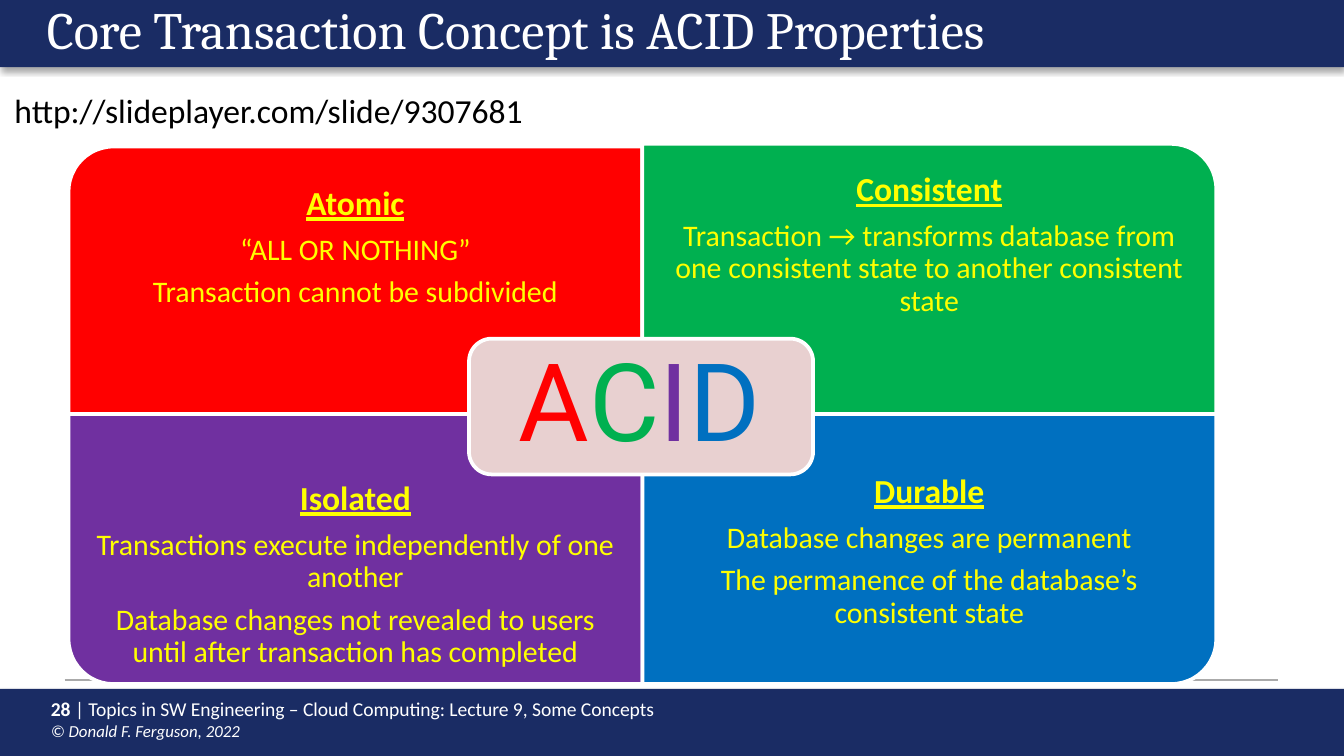
from dataclasses import dataclass

import pptx
import pptx.dml.color
import pptx.enum.shapes
import pptx.enum.text
import pptx.oxml
import pptx.oxml.ns
import pptx.util

Inches = pptx.util.Inches
Pt = pptx.util.Pt
Color = pptx.dml.color.RGBColor
Kind = pptx.enum.shapes.MSO_SHAPE
Anchor = pptx.enum.text.MSO_ANCHOR
Align = pptx.enum.text.PP_ALIGN


@dataclass(frozen=True)
class Theme:
    navy: str = "1A2C64"
    white: str = "FFFFFF"
    black: str = "000000"
    rule: str = "AAAAAA"
    yellow: str = "FFFF00"
    badge: str = "E8D0D0"
    red: str = "FF0000"
    green: str = "00B050"
    purple: str = "7030A0"
    blue: str = "0070C0"
    body_font: str = "Calibri"
    title_font: str = "Cambria"
    badge_font: str = "Roboto"
    title: float = 28
    heading: float = 18
    body: float = 16
    badge_size: float = 58
    footer: float = 10.5
    credit: float = 9


@dataclass(frozen=True)
class Frame:
    left: float
    top: float
    width: float
    height: float

    def lengths(self) -> list:
        return [Inches(value) for value in (self.left, self.top, self.width, self.height)]

    def turned(self) -> "Frame":
        shift = (self.width - self.height) / 2
        return Frame(self.left + shift, self.top - shift, self.height, self.width)


@dataclass(frozen=True)
class Span:
    text: str
    size: float
    color: str
    font: str = Theme.body_font
    bold: bool = False
    italic: bool = False
    underline: bool = False


@dataclass(frozen=True)
class Quadrant:
    column: int
    row: int
    rotation: int
    color: str
    heading: str
    lines: tuple
    anchor: Anchor = Anchor.MIDDLE
    nudge: float = 0
    bottom: float = 0.14


THEME = Theme()
PAGE_WIDTH = 10
PAGE_HEIGHT = PAGE_WIDTH * 9 / 16
BAR_HEIGHT = 0.5
GRID = Frame(0.51, 1.07, 4.27, 2.01)
LABEL_HEIGHT = GRID.height * 0.75

QUADRANTS = (
    Quadrant(0, 0, 270, THEME.red, "Atomic",
             ("“ALL OR NOTHING”", "Transaction cannot be subdivided"), nudge=0.02),
    Quadrant(1, 0, 0, THEME.green, "Consistent",
             ("Transaction → transforms database from one consistent state "
              "to another consistent state",)),
    Quadrant(0, 1, 180, THEME.purple, "Isolated",
             ("Transactions execute independently of one another",
              "Database changes not revealed to users until after transaction has completed"),
             anchor=Anchor.TOP),
    Quadrant(1, 1, 90, THEME.blue, "Durable",
             ("Database changes are permanent",
              "The permanence of the database’s consistent state"), bottom=0.46),
)


def apply(target, values: dict) -> None:
    for name, value in values.items():
        setattr(target, name, value)


def add_span(para, span: Span) -> None:
    run = para.add_run()
    run.text = span.text
    apply(run.font, {"size": Pt(span.size), "name": span.font, "bold": span.bold,
                     "italic": span.italic, "underline": span.underline})
    run.font.color.rgb = Color.from_string(span.color)


def add_text(page, frame: Frame, paragraphs: list, margins: tuple = (0.1, 0.05, 0.1, 0.05),
             anchor: Anchor = Anchor.TOP, wrap: bool = True, gap: float = 0, **para_format):
    box = page.shapes.add_textbox(*frame.lengths()).text_frame
    left, top, right, bottom = (Inches(margin) for margin in margins)
    apply(box, {"word_wrap": wrap, "vertical_anchor": anchor, "margin_left": left,
                "margin_top": top, "margin_right": right, "margin_bottom": bottom})
    for index, spans in enumerate(paragraphs):
        para = box.add_paragraph() if index else box.paragraphs[0]
        apply(para, {"space_after": Pt(gap * spans[0].size), **para_format})
        for span in spans:
            add_span(para, span)
    return box


def add_block(page, kind: Kind, frame: Frame, fill: str, outline: bool = True):
    block = page.shapes.add_shape(kind, *frame.lengths())
    block.shadow.inherit = False
    block.fill.solid()
    block.fill.fore_color.rgb = Color.from_string(fill)
    if outline:
        block.line.color.rgb = Color.from_string(THEME.white)
        block.line.width = Pt(2)
    else:
        block.line.fill.background()
    return block


def add_bar(page, top: float) -> None:
    bar = add_block(page, Kind.RECTANGLE, Frame(0, top, PAGE_WIDTH, BAR_HEIGHT),
                    THEME.navy, outline=False)
    effects = bar.element.spPr.find(pptx.oxml.ns.qn("a:effectLst"))
    effects.append(pptx.oxml.parse_xml(
        f'<a:outerShdw {pptx.oxml.ns.nsdecls("a")} blurRad="{Pt(3.1)}" dist="{Pt(1.8)}" '
        f'dir="5400000" rotWithShape="0"><a:srgbClr val="{THEME.black}">'
        '<a:alpha val="35000"/></a:srgbClr></a:outerShdw>'))


def add_rule(page, left: float, right: float, height: float) -> None:
    rule = page.shapes.add_connector(pptx.enum.shapes.MSO_CONNECTOR.STRAIGHT,
                                     Inches(left), Inches(height), Inches(right), Inches(height))
    rule.line.color.rgb = Color.from_string(THEME.rule)
    rule.line.width = Pt(0.75)
    rule.element.spPr.append(pptx.oxml.parse_xml(
        f'<a:effectLst {pptx.oxml.ns.nsdecls("a")}/>'))


def add_quadrant(page, quadrant: Quadrant) -> None:
    frame = Frame(GRID.left + quadrant.column * GRID.width,
                  GRID.top + quadrant.row * GRID.height + quadrant.nudge,
                  GRID.width, GRID.height)
    sideways = quadrant.rotation % 180 == 90
    block = add_block(page, Kind.ROUND_1_RECTANGLE, frame.turned() if sideways else frame,
                      quadrant.color)
    block.rotation = quadrant.rotation
    label_top = frame.top + quadrant.row * (GRID.height - LABEL_HEIGHT)
    heading = Span(quadrant.heading, THEME.heading, THEME.yellow, bold=True, underline=True)
    lines = [[Span(line, THEME.body, THEME.yellow)] for line in quadrant.lines]
    add_text(page, Frame(frame.left, label_top, GRID.width, LABEL_HEIGHT), [[heading], *lines],
             margins=(0.14, 0 if quadrant.row else 0.14, 0.14, quadrant.bottom),
             anchor=quadrant.anchor, gap=0.35, alignment=Align.CENTER, line_spacing=0.9)


def add_badge(page) -> None:
    add_block(page, Kind.ROUNDED_RECTANGLE, Frame(3.49, 2.52, 2.56, 1.01), THEME.badge)
    letters = [Span(quadrant.heading[0], THEME.badge_size, quadrant.color, THEME.badge_font)
               for quadrant in QUADRANTS]
    add_text(page, Frame(3.53, 2.57, 2.46, 0.91), [letters], margins=(0.24,) * 4,
             anchor=Anchor.MIDDLE, alignment=Align.CENTER, line_spacing=0.9)


def add_footer(page) -> None:
    box = add_text(page, Frame(0.28, 5.14, 7.42, 0.43), [[
        Span("28 ", THEME.footer, THEME.white, bold=True),
        Span("| Topics in SW Engineering – Cloud Computing: Lecture 9, Some Concepts",
             THEME.footer, THEME.white)]])
    para = box.paragraphs[0]
    para.add_line_break()
    add_span(para, Span("© Donald F. Ferguson, 2022", THEME.credit, THEME.white, italic=True))


def main() -> None:
    deck = pptx.Presentation()
    apply(deck, {"slide_width": Inches(PAGE_WIDTH), "slide_height": Inches(PAGE_HEIGHT)})
    page = deck.slides.add_slide(deck.slide_layouts[6])
    for top in (PAGE_HEIGHT - BAR_HEIGHT, 0):
        add_bar(page, top)
    add_footer(page)
    add_rule(page, 0.48, 9.51, 5.06)
    add_text(page, Frame(0.25, -0.02, 9.06, 0.42),
             [[Span("Core Transaction Concept is ACID Properties", THEME.title, THEME.white,
                    THEME.title_font)]], line_spacing=0.9)
    for quadrant in QUADRANTS:
        add_quadrant(page, quadrant)
    add_badge(page)
    add_text(page, Frame(0.01, 0.62, 4.03, 0.4),
             [[Span("http://slideplayer.com/slide/9307681", THEME.heading, THEME.black)]],
             wrap=False)
    deck.save("out.pptx")


if __name__ == "__main__":
    main()
